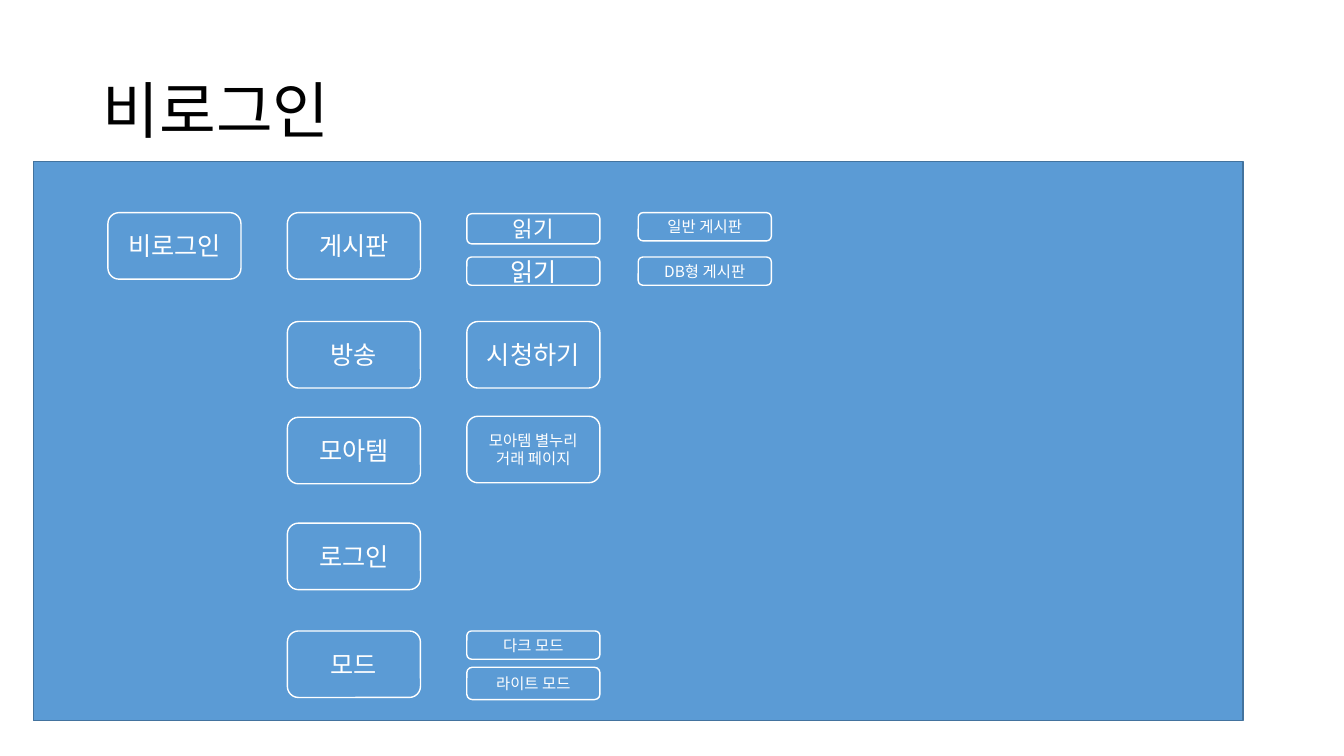
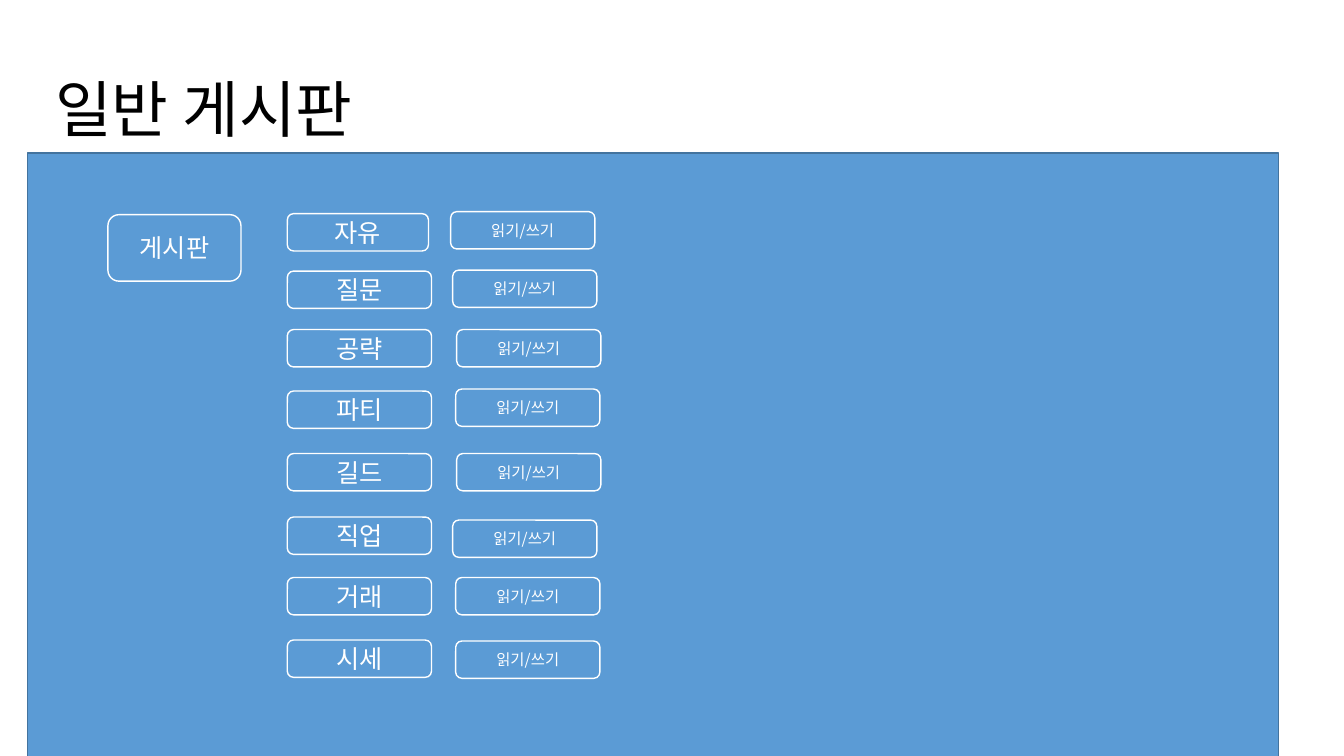
from lxml.etree import SubElement
from pptx import Presentation
from pptx.dml.color import RGBColor
from pptx.enum.shapes import MSO_SHAPE
from pptx.enum.text import MSO_ANCHOR, PP_ALIGN
from pptx.oxml.ns import qn
from pptx.util import Inches, Pt

BLUE = RGBColor(0x5B, 0x9B, 0xD5)
NAVY = RGBColor(0x43, 0x73, 0x9E)
WHITE = RGBColor(0xFF, 0xFF, 0xFF)
BLACK = RGBColor(0, 0, 0)
FONT = "Noto Sans CJK KR"
LARGE, SMALL = 18, 11
ROOT, GROUP, PAGE, BOARD = 1.07, 2.85, 4.63, 6.33
WIDE, TALL, THIN = 1.32, 0.66, 0.28
ROW_WIDE, ROW_TALL = 1.43, 0.37

SITE_MAP = [
    (ROOT, 2.11, TALL, "비로그인", LARGE),
    (GROUP, 2.11, TALL, "게시판", LARGE),
    (GROUP, 3.19, TALL, "방송", LARGE),
    (GROUP, 4.14, TALL, "모아템", LARGE),
    (GROUP, 5.19, TALL, "로그인", LARGE),
    (GROUP, 6.26, TALL, "모드", LARGE),
    (PAGE, 2.12, 0.3, "읽기", 16),
    (PAGE, 2.55, THIN, "읽기", LARGE),
    (PAGE, 3.19, TALL, "시청하기", LARGE),
    (PAGE, 4.13, TALL, "모아템 별누리\n거래 페이지", SMALL),
    (PAGE, 6.26, THIN, "다크 모드", SMALL),
    (PAGE, 6.62, 0.32, "라이트 모드", SMALL),
    (BOARD, 2.11, THIN, "일반 게시판", SMALL),
    (BOARD, 2.55, THIN, "DB형 게시판", SMALL),
]

BOARD_ROWS = [
    ("자유", 2.12, 1.4, 4.47, 2.1),
    ("질문", 2.69, ROW_WIDE, 4.49, 2.68),
    ("공략", 3.27, ROW_WIDE, 4.53, 3.27),
    ("파티", 3.88, ROW_WIDE, 4.52, 3.86),
    ("길드", 4.5, ROW_WIDE, 4.53, 4.5),
    ("직업", 5.13, ROW_WIDE, 4.49, 5.16),
    ("거래", 5.73, ROW_WIDE, 4.52, 5.73),
    ("시세", 6.35, ROW_WIDE, 4.52, 6.36),
]


def style_text(frame, size, color, align):
    frame.word_wrap = True
    frame.vertical_anchor = MSO_ANCHOR.MIDDLE
    for line in frame.paragraphs:
        line.alignment = align
        for run in line.runs:
            font = run.font
            font.size = Pt(size)
            font.color.rgb = color
            font.name = FONT
            SubElement(font._element, qn("a:ea"), typeface=FONT)


def add_block(slide, kind, left, top, width, height, edge):
    block = slide.shapes.add_shape(
        kind, Inches(left), Inches(top), Inches(width), Inches(height))
    block.shadow.inherit = False
    block.fill.solid()
    block.fill.fore_color.rgb = BLUE
    block.line.color.rgb = edge
    block.line.width = Pt(1)
    return block


def add_node(slide, left, top, width, height, text, size):
    node = add_block(slide, MSO_SHAPE.ROUNDED_RECTANGLE,
                     left, top, width, height, WHITE)
    node.text_frame.text = text
    style_text(node.text_frame, size, WHITE, PP_ALIGN.CENTER)


def add_title(slide, left, top, text):
    box = slide.shapes.add_textbox(
        Inches(left), Inches(top), Inches(11.5), Inches(1.45))
    box.text_frame.text = text
    style_text(box.text_frame, 44, BLACK, PP_ALIGN.LEFT)
    box.text_frame.paragraphs[0].line_spacing = 0.9


def add_page(deck, title, title_at, panel_at):
    slide = deck.slides.add_slide(deck.slide_layouts[6])
    add_title(slide, *title_at, title)
    add_block(slide, MSO_SHAPE.RECTANGLE, *panel_at, NAVY)
    return slide


def add_site(deck):
    slide = add_page(deck, "비로그인", (0.92, 0.4), (0.33, 1.6, 12, 5.55))
    for left, top, height, text, size in SITE_MAP:
        add_node(slide, left, top, WIDE, height, text, size)


def add_boards(deck):
    slide = add_page(deck, "일반 게시판", (0.45, 0.39), (0.27, 1.52, 12.41, 6.1))
    add_node(slide, ROOT, 2.13, WIDE, TALL, "게시판", LARGE)
    for name, top, width, left, use_top in BOARD_ROWS:
        add_node(slide, GROUP, top, width, ROW_TALL, name, LARGE)
        add_node(slide, left, use_top, ROW_WIDE, ROW_TALL, "읽기/쓰기", SMALL)


def main():
    deck = Presentation()
    deck.slide_width = Inches(13.33)
    deck.slide_height = Inches(7.5)
    add_site(deck)
    add_boards(deck)
    deck.save("out.pptx")


if __name__ == "__main__":
    main()
